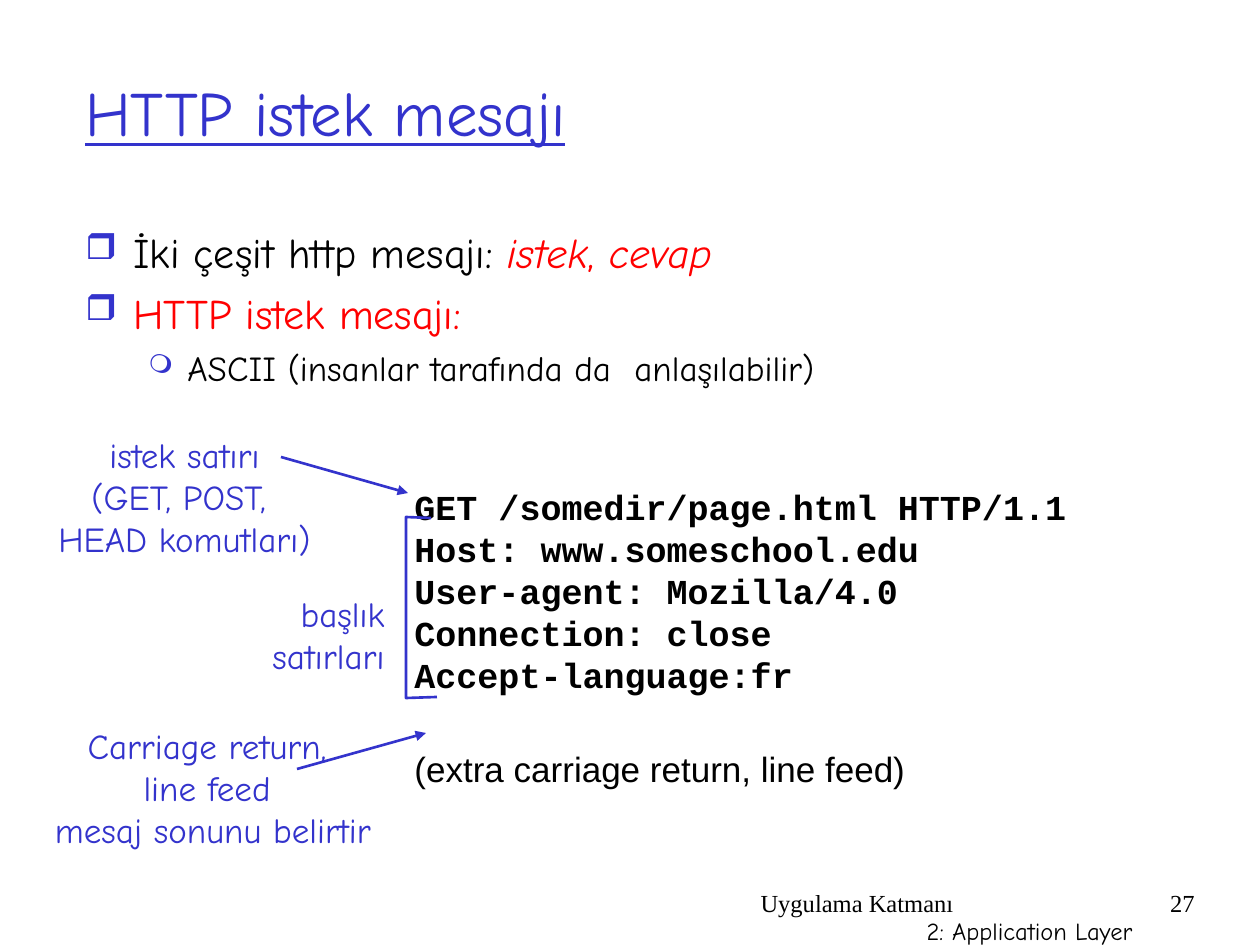
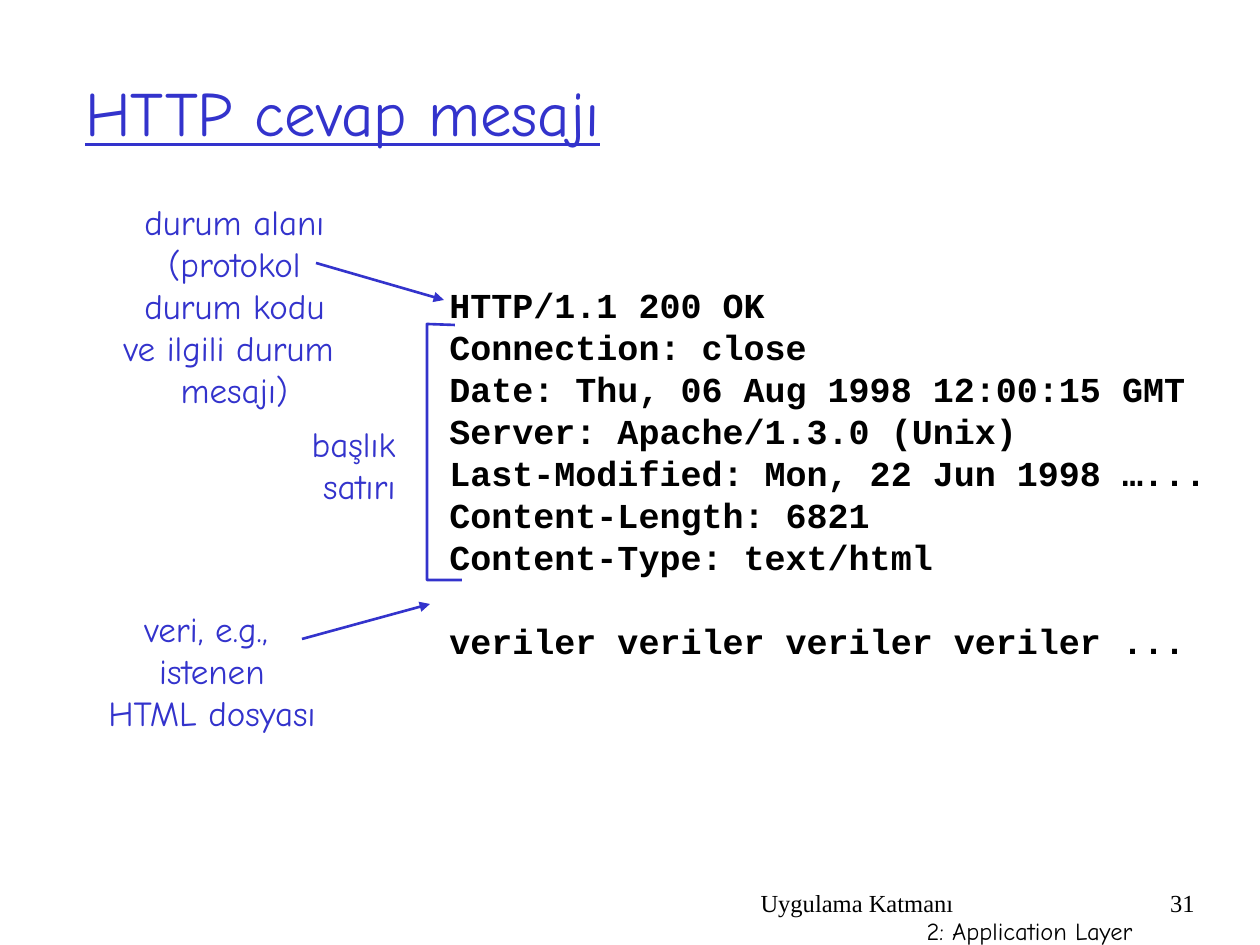
"""Build two slides on HTTP request and response messages."""
from lxml.etree import SubElement
from pptx import Presentation
from pptx.dml.color import RGBColor as Rgb
from pptx.enum.shapes import MSO_CONNECTOR as Link
from pptx.enum.text import MSO_ANCHOR as Anchor, PP_ALIGN as Align
from pptx.oxml.ns import qn
from pptx.util import Pt

BLUE = Rgb(0x33, 0x33, 0xCC)
RED = Rgb(0xFF, 0, 0)
BLACK = Rgb(0, 0, 0)
HAND, MONO, SANS, SERIF = "Comic Neue", "Courier New", "Arial", "Times New Roman"
UNIT = 914400 / 126
MID, RIGHT = Align.CENTER, Align.RIGHT

TOP = {"mark": "❒", "ratio": 85, "left": 48, "hang": 48, "before": 6}
SUB = {"mark": "❍", "ratio": 75, "left": 102, "hang": 39, "before": 5}

SLIDES = [
    {
        "title": "HTTP istek mesajı",
        "page": "27",
        "body": [
            ([("İki çeşit http mesajı: ", {}),
              ("istek", {"color": RED, "slant": True}),
              (", ", {"color": RED}),
              ("cevap", {"color": RED, "slant": True})], {**TOP, "before": 0}),
            ([("HTTP istek mesajı:", {"color": RED})], TOP),
            ([("ASCII (insanlar tarafında da  anlaşılabilir)", {"size": 20})], SUB),
        ],
        "code": ((402, 479, 700, 324), [
            "GET /somedir/page.html HTTP/1.1",
            "Host: www.someschool.edu",
            "User-agent: Mozilla/4.0",
            "Connection: close",
            "Accept-language:fr",
            ([("(extra carriage return, line feed)",
               {"font": SANS, "bold": False})], {"before": 30}),
        ]),
        "notes": [
            ((35, 427, 299, 139), MID,
             ["istek satırı", "(GET, POST, ", "HEAD komutları)"]),
            ((228, 586, 169, 97), RIGHT, ["başlık", "satırları"]),
            ((32, 718, 362, 139), MID,
             ["Carriage return, ", "line feed ", "mesaj sonunu belirtir"]),
        ],
        "arrows": [(281, 457, 408, 493), (297, 769, 426, 733)],
        "brace": [(431, 518), (406, 517), (406, 698), (437, 697)],
    },
    {
        "title": "HTTP cevap mesajı",
        "page": "31",
        "body": [],
        "code": ((437, 277, 820, 391), [
            "HTTP/1.1 200 OK",
            "Connection: close",
            "Date: Thu, 06 Aug 1998 12:00:15 GMT",
            "Server: Apache/1.3.0 (Unix)",
            "Last-Modified: Mon, 22 Jun 1998 …...",
            "Content-Length: 6821",
            "Content-Type: text/html",
            ([("veriler veriler veriler veriler ...", {})], {"before": 24}),
        ]),
        "notes": [
            ((101, 194, 267, 223), MID,
             ["durum alanı", "(protokol", "durum kodu", "ve ilgili durum ", "mesajı)"]),
            ((278, 416, 130, 97), RIGHT, ["başlık", "satırı"]),
            ((84, 601, 256, 139), MID, ["veri, e.g., ", "istenen", "HTML dosyası"]),
        ],
        "arrows": [(316, 263, 444, 300), (302, 639, 430, 604)],
        "brace": [(455, 325), (427, 324), (427, 580), (462, 580)],
    },
]


def px(num):
    return round(num * UNIT)


def bullet(para, mark, ratio, left, hang):
    props = para._p.get_or_add_pPr()
    props.set("marL", str(px(left)))
    props.set("indent", str(-px(hang)))
    tint = SubElement(props, qn("a:buClr"))
    SubElement(tint, qn("a:srgbClr"), val=str(BLUE))
    SubElement(props, qn("a:buSzPct"), val=str(ratio * 1000))
    SubElement(props, qn("a:buChar"), char=mark)


def style(run, font=HAND, size=20, color=BLACK, bold=False, slant=False, under=False):
    face = run.font
    face.name, face.size, face.color.rgb = font, Pt(size), color
    face.bold, face.italic, face.underline = bold, slant, under


def text(slide, box, paras, align=Align.LEFT, anchor=Anchor.TOP, pitch=None, **look):
    frame = slide.shapes.add_textbox(*map(px, box)).text_frame
    frame.word_wrap = True
    frame.vertical_anchor = anchor
    for pos, item in enumerate(paras):
        runs, form = ([(item, {})], {}) if isinstance(item, str) else item
        form = dict(form)
        para = frame.paragraphs[0] if pos == 0 else frame.add_paragraph()
        para.alignment = align
        if pitch:
            para.line_spacing = Pt(pitch)
        para.space_before = Pt(form.pop("before", 0))
        if form:
            bullet(para, **form)
        for words, extra in runs:
            run = para.add_run()
            run.text = words
            style(run, **{**look, **extra})


def arrow(slide, ends):
    line = slide.shapes.add_connector(Link.STRAIGHT, *map(px, ends))
    line.line.color.rgb = BLUE
    line.line.width = Pt(1.5)
    SubElement(line.line._get_or_add_ln(), qn("a:tailEnd"), type="triangle")
    SubElement(line._element.spPr, qn("a:effectLst"))


def brace(slide, dots):
    pen = slide.shapes.build_freeform(*dots[0], scale=UNIT)
    pen.add_line_segments(dots[1:], close=False)
    shape = pen.convert_to_shape()
    shape.shadow.inherit = False
    shape.fill.background()
    shape.line.color.rgb = BLUE
    shape.line.width = Pt(1.5)


def frame(slide, title, page):
    text(slide, (73, 32, 1071, 158), [title], anchor=Anchor.MIDDLE,
         size=36, color=BLUE, under=True)
    for left, width, words in ((746, 220, "Uygulama Katmanı"), (1144, 63, page)):
        text(slide, (left, 882, width, 40), [words], align=RIGHT, font=SERIF, size=14)
    text(slide, (846, 910, 299, 35), ["2: Application Layer"], align=RIGHT, size=14)


def main():
    deck = Presentation()
    deck.slide_width, deck.slide_height = px(1260), px(945)
    for data in SLIDES:
        slide = deck.slides.add_slide(deck.slide_layouts[6])
        frame(slide, data["title"], data["page"])
        if data["body"]:
            text(slide, (73, 220, 1071, 640), data["body"], size=24)
        box, lines = data["code"]
        text(slide, box, lines, pitch=24, font=MONO, bold=True)
        for box, align, lines in data["notes"]:
            text(slide, box, lines, align=align, color=BLUE)
        for ends in data["arrows"]:
            arrow(slide, ends)
        brace(slide, data["brace"])
    deck.save("out.pptx")


if __name__ == "__main__":
    main()
